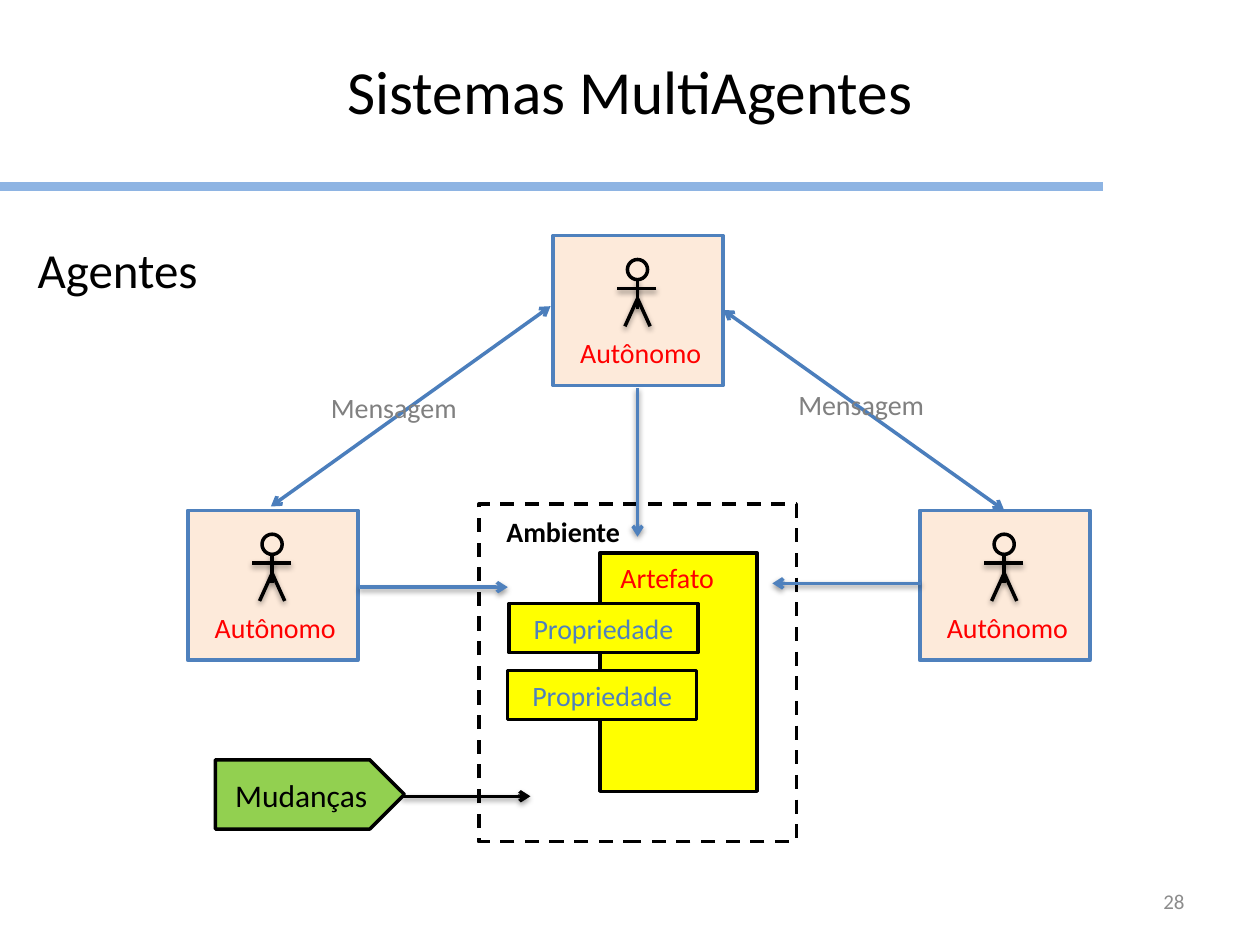
from lxml.etree import SubElement
from pptx import Presentation
from pptx.dml.color import RGBColor
from pptx.enum.dml import MSO_LINE_DASH_STYLE as Dash
from pptx.enum.shapes import MSO_CONNECTOR as Connector, MSO_SHAPE as Shape
from pptx.enum.text import MSO_ANCHOR as Anchor, PP_ALIGN as Align
from pptx.oxml.ns import qn
from pptx.util import Inches, Pt

BLACK = RGBColor(0x00, 0x00, 0x00)
RED = RGBColor(0xFF, 0x00, 0x00)
BLUE = RGBColor(0x4F, 0x81, 0xBD)
MESSAGE_BLUE = RGBColor(0x4B, 0x7E, 0xBC)
RULE_BLUE = RGBColor(0x8E, 0xB4, 0xE3)
PEACH = RGBColor(0xFD, 0xEA, 0xDA)
YELLOW = RGBColor(0xFF, 0xFF, 0x00)
GREEN = RGBColor(0x92, 0xD0, 0x50)
GRAY = RGBColor(0x80, 0x80, 0x80)
NUMBER_GRAY = RGBColor(0x8C, 0x8C, 0x8C)


def write(box, text, size, color, align=Align.CENTER, anchor=Anchor.MIDDLE, bold=False):
    frame = box.text_frame
    frame.word_wrap = True
    frame.vertical_anchor = anchor
    para = frame.paragraphs[0]
    para.alignment = align
    span = para.add_run()
    span.text = text
    span.font.name = "Calibri"
    span.font.size = Pt(size)
    span.font.bold = bold
    span.font.color.rgb = color
    return para


def add_text(page, area, text, size, color, **style):
    box = page.shapes.add_textbox(*map(Inches, area))
    return write(box, text, size, color, **style)


def add_box(page, kind, area, fill=None, line=BLACK):
    box = page.shapes.add_shape(kind, *map(Inches, area))
    box.shadow.inherit = False
    if fill is None:
        box.fill.background()
    else:
        box.fill.solid()
        box.fill.fore_color.rgb = fill
    box.line.color.rgb = line
    box.line.width = Pt(2)
    return box


def add_line(page, start, end, color=BLACK, width=2, ends=(), shadow=True):
    line = page.shapes.add_connector(Connector.STRAIGHT, *map(Inches, start + end))
    line.line.color.rgb = color
    line.line.width = Pt(width)
    outline = line.line._get_or_add_ln()
    for name in ends:
        SubElement(outline, qn(f"a:{name}"), type="arrow")
    effects = SubElement(line._element.spPr, qn("a:effectLst"))
    if shadow:
        outer = SubElement(effects, qn("a:outerShdw"), blurRad=str(Pt(3.1)),
                           dist=str(Pt(1.6)), dir="5400000", rotWithShape="0")
        shade = SubElement(outer, qn("a:srgbClr"), val=str(BLACK))
        SubElement(shade, qn("a:alpha"), val="38000")


def add_agent(page, left, top):
    add_box(page, Shape.RECTANGLE, (left, top, 1.35, 1.19), PEACH, BLUE)

    # Stick figure: head, body, legs, arms
    middle = left + 0.67
    hip = (middle, top + 0.5)
    add_box(page, Shape.OVAL, (middle - 0.08, top + 0.19, 0.16, 0.16))
    add_line(page, (middle, top + 0.34), (middle, top + 0.58))
    for side in (-0.1, 0.1):
        add_line(page, hip, (middle + side, top + 0.72))
    add_line(page, (middle + 0.15, top + 0.42), (middle - 0.16, top + 0.42))

    add_text(page, (left - 0.21, top + 0.73, 1.81, 0.39), "Autônomo", 16, RED)


def add_property(page, left, top):
    box = add_box(page, Shape.RECTANGLE, (left, top, 1.5, 0.39), YELLOW)
    write(box, "Propriedade", 16, BLUE)


def add_header(page):
    add_line(page, (0, 1.48), (8.75, 1.48), RULE_BLUE, width=5, shadow=False)
    add_text(page, (7.17, 6.95, 2.33, 0.4), "28", 12, NUMBER_GRAY, align=Align.RIGHT)
    add_text(page, (0, 0.37, 10, 0.69), "Sistemas MultiAgentes", 35, BLACK,
             anchor=Anchor.TOP)
    para = add_text(page, (0.2, 1.62, 9.71, 0.73), "Agentes", 28, BLACK,
                    align=Align.JUSTIFY, anchor=Anchor.TOP)
    para.line_spacing = 1.5
    para.space_after = Pt(6)
    indent = para._p.get_or_add_pPr()
    indent.set("marL", str(Inches(0.39)))
    indent.set("indent", str(-Inches(0.39)))


def add_environment(page):
    border = add_box(page, Shape.RECTANGLE, (3.8, 4, 2.52, 2.68))
    border.line.dash_style = Dash.DASH
    add_text(page, (3.83, 4.02, 1.28, 0.39), "Ambiente", 16, BLACK, bold=True)

    # Artifact with its properties
    add_box(page, Shape.RECTANGLE, (4.76, 4.39, 1.25, 1.89), YELLOW)
    add_text(page, (4.75, 4.39, 1.09, 0.39), "Artefato", 16, RED)
    add_property(page, 4.04, 4.79)
    add_property(page, 4.03, 5.32)

    # Changes entering the environment
    changes = add_box(page, Shape.PENTAGON, (1.71, 6.03, 1.5, 0.55), GREEN)
    write(changes, "Mudanças", 18, BLACK)
    add_line(page, (3.19, 6.32), (4.21, 6.32), ends=["tailEnd"])


def main():
    deck = Presentation()
    deck.slide_width, deck.slide_height = Inches(10), Inches(7.5)
    page = deck.slides.add_slide(deck.slide_layouts[6])

    add_header(page)
    add_environment(page)
    for left, top in ((1.49, 4.05), (4.39, 1.87), (7.3, 4.05)):
        add_agent(page, left, top)

    # Agents acting on the environment
    for start, end in (((2.85, 4.66), (4.03, 4.66)),
                       ((7.31, 4.63), (6.13, 4.63)),
                       ((5.06, 3.08), (5.06, 4.26))):
        add_line(page, start, end, BLUE, ends=["tailEnd"])

    # Messages between agents
    for start, end, label in (((2.15, 4.02), (4.37, 2.43), (2.22, 3.04)),
                              ((7.97, 4.05), (5.74, 2.46), (5.93, 3.01))):
        add_line(page, start, end, MESSAGE_BLUE, ends=["headEnd", "tailEnd"], shadow=False)
        add_text(page, label + (1.81, 0.39), "Mensagem", 16, GRAY)

    deck.save("out.pptx")


if __name__ == "__main__":
    main()
